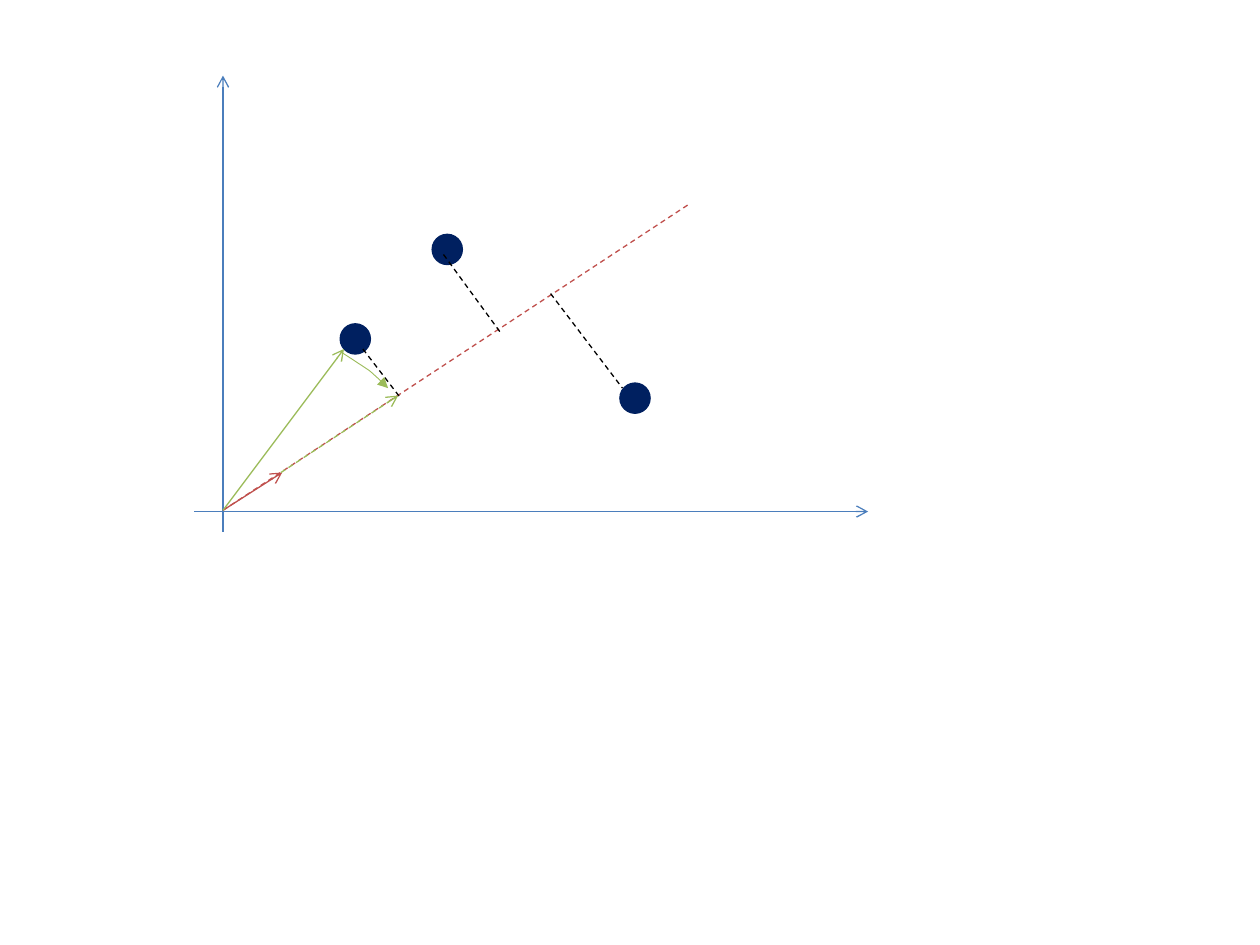
from dataclasses import dataclass
from typing import Optional

from pptx import Presentation
from pptx.dml.color import RGBColor
from pptx.enum.dml import MSO_LINE
from pptx.enum.shapes import MSO_CONNECTOR, MSO_SHAPE
from pptx.oxml.ns import qn
from pptx.util import Inches, Pt
from lxml.etree import SubElement

Point = tuple[float, float]


@dataclass(frozen=True)
class Theme:
    axis: str = "4B7EBC"
    point: str = "002060"
    direction: str = "C0504D"
    vector: str = "9BBB59"
    residual: str = "000000"
    line_width: float = 0.75
    arc_width: float = 0.5


@dataclass(frozen=True)
class Segment:
    start: Point
    end: Point
    color: str
    dashed: bool = False
    arrow: bool = False


THEME = Theme()
ORIGIN = (1.77, 4.05)
DOT_SIZE = 0.24
CURVE_STEPS = 8

AXES = [
    Segment((1.77, 4.22), (1.77, 0.6), THEME.axis, arrow=True),
    Segment((1.54, 4.06), (6.89, 4.06), THEME.axis, arrow=True),
]
DOTS = [(2.7, 2.57), (3.43, 1.86), (4.92, 3.04)]
PROJECTIONS = [
    Segment(ORIGIN, (2.24, 3.75), THEME.direction, arrow=True),
    Segment(ORIGIN, (5.47, 1.62), THEME.direction, dashed=True),
    Segment((2.88, 2.77), (3.18, 3.16), THEME.residual, dashed=True),
    Segment(ORIGIN, (2.73, 2.77), THEME.vector, arrow=True),
    Segment((3.52, 2.02), (3.98, 2.65), THEME.residual, dashed=True),
    Segment((4.37, 2.33), (4.94, 3.08), THEME.residual, dashed=True),
]
PROJECTED_VECTOR = Segment((2.23, 3.75), (3.16, 3.14), THEME.vector,
                           dashed=True, arrow=True)
# Cubic Bezier pieces: start, two controls, end
ARC = [
    ((2.7, 2.79), (2.78, 2.84), (2.87, 2.9), (2.93, 2.94)),
    ((2.93, 2.94), (2.99, 2.99), (3.06, 3.06), (3.08, 3.08)),
]


def style_line(s, color: str, width: float, head: Optional[str] = None,
               dashed: bool = False) -> None:
    s.line.color.rgb = RGBColor.from_string(color)
    s.line.width = Pt(width)
    if dashed:
        s.line.dash_style = MSO_LINE.DASH
    if head:
        SubElement(s.line._get_or_add_ln(), qn("a:tailEnd"), type=head)


def add_segment(slide, seg: Segment) -> None:
    x1, y1, x2, y2 = (Inches(v) for v in seg.start + seg.end)
    s = slide.shapes.add_connector(MSO_CONNECTOR.STRAIGHT, x1, y1, x2, y2)
    style_line(s, seg.color, THEME.line_width,
               "arrow" if seg.arrow else None, seg.dashed)
    SubElement(s._element.spPr, qn("a:effectLst"))


def add_dot(slide, corner: Point) -> None:
    left, top = (Inches(v) for v in corner)
    s = slide.shapes.add_shape(MSO_SHAPE.OVAL, left, top,
                               Inches(DOT_SIZE), Inches(DOT_SIZE))
    s.fill.solid()
    s.fill.fore_color.rgb = RGBColor.from_string(THEME.point)
    style_line(s, THEME.point, THEME.line_width)
    s.shadow.inherit = False


def bezier_point(piece: tuple[Point, ...], t: float) -> Point:
    weights = ((1 - t) ** 3, 3 * t * (1 - t) ** 2, 3 * t * t * (1 - t), t ** 3)
    x, y = (Inches(sum(w * p[i] for w, p in zip(weights, piece)))
            for i in (0, 1))
    return x, y


def add_arc(slide) -> None:
    x, y = bezier_point(ARC[0], 0)
    builder = slide.shapes.build_freeform(x, y)
    builder.add_line_segments(
        [bezier_point(piece, step / CURVE_STEPS)
         for piece in ARC for step in range(1, CURVE_STEPS + 1)],
        close=False)
    s = builder.convert_to_shape()
    s.fill.background()
    style_line(s, THEME.vector, THEME.arc_width, "triangle")
    s.shadow.inherit = False


def main() -> None:
    prs = Presentation()
    prs.slide_width, prs.slide_height = Inches(10), Inches(7.5)
    slide = prs.slides.add_slide(prs.slide_layouts[6])

    # Coordinate axes
    for seg in AXES:
        add_segment(slide, seg)

    # Data points
    for corner in DOTS:
        add_dot(slide, corner)

    # Direction, data vector and residuals
    for seg in PROJECTIONS:
        add_segment(slide, seg)

    # Rotation towards the projected vector
    add_arc(slide)
    add_segment(slide, PROJECTED_VECTOR)

    prs.save("out.pptx")


if __name__ == "__main__":
    main()
